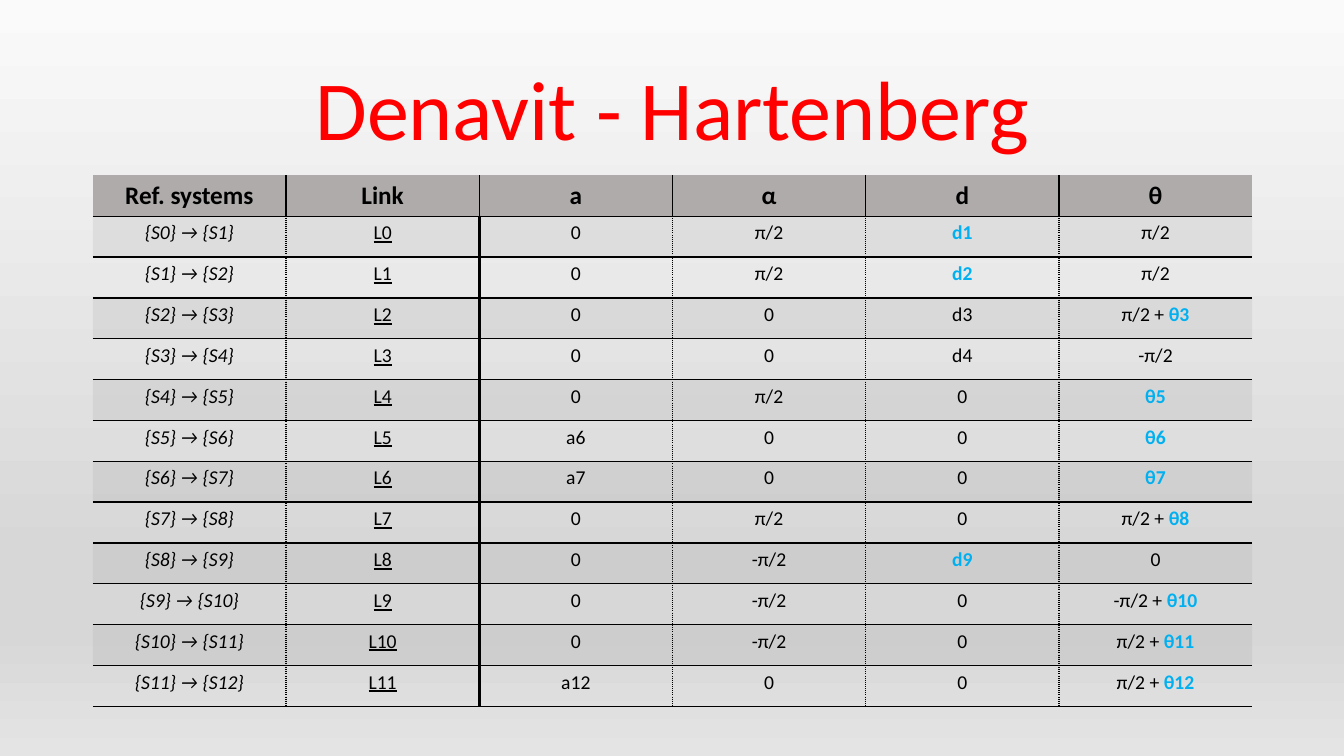
from typing import NamedTuple

from lxml.etree import SubElement
from pptx import Presentation
from pptx.dml.color import RGBColor
from pptx.enum.text import MSO_ANCHOR, PP_ALIGN
from pptx.oxml.ns import qn
from pptx.slide import Slide
from pptx.table import _Cell as Cell
from pptx.util import Emu, Pt

EMU_PER_PX = 9144
FONT = "Calibri"
COLORS = {
    "title": "FF0000",
    "text": "000000",
    "variable": "00B0F0",
    "header": "AFABAB",
    "band": "A5A5A5",
}
BACKGROUND_STOPS = ((0, "FAFAFA"), (74, "D7D7D7"), (83, "D7D7D7"), (100, "E4E4E4"))
HEADINGS = ("Ref. systems", "Link", "a", "α", "d", "θ")
VARIABLE_MARK = "*"  # what follows it in a cell is a joint variable


class Joint(NamedTuple):
    a: str
    alpha: str
    d: str
    theta: str


class Border(NamedTuple):
    width: float
    dash: str = "solid"


THIN, THICK, DOTTED = Border(1), Border(2.25), Border(1, "dot")

JOINTS = (
    Joint("0", "π/2", "*d1", "π/2"),
    Joint("0", "π/2", "*d2", "π/2"),
    Joint("0", "0", "d3", "π/2 + *θ3"),
    Joint("0", "0", "d4", "-π/2"),
    Joint("0", "π/2", "0", "*θ5"),
    Joint("a6", "0", "0", "*θ6"),
    Joint("a7", "0", "0", "*θ7"),
    Joint("0", "π/2", "0", "π/2 + *θ8"),
    Joint("0", "-π/2", "*d9", "0"),
    Joint("0", "-π/2", "0", "-π/2 + *θ10"),
    Joint("0", "-π/2", "0", "π/2 + *θ11"),
    Joint("a12", "0", "0", "π/2 + *θ12"),
)


def px(length: int) -> Emu:
    return Emu(length * EMU_PER_PX)


def rgb(name: str) -> RGBColor:
    return RGBColor.from_string(COLORS[name])


def paint_background(page: Slide) -> None:
    fill = page.background.fill
    fill.gradient()
    fill.gradient_angle = 270
    stops = page.background._cSld.find(".//" + qn("a:gsLst"))
    for stop in list(stops):
        stops.remove(stop)
    for percent, color in BACKGROUND_STOPS:
        stop = SubElement(stops, qn("a:gs"), pos=str(percent * 1000))
        SubElement(stop, qn("a:srgbClr"), val=color)


def add_title(page: Slide, text: str) -> None:
    box = page.shapes.add_textbox(px(92), px(40), px(1150), px(145))
    frame = box.text_frame
    frame.word_wrap = True
    frame.vertical_anchor = MSO_ANCHOR.MIDDLE
    frame.text = text
    para = frame.paragraphs[0]
    para.alignment = PP_ALIGN.CENTER
    para.line_spacing = 0.9
    font = para.runs[0].font
    font.name, font.size = FONT, Pt(60)
    font.color.rgb = rgb("title")


def vertical_border(row: int, edge: int) -> Border | None:
    """Border on the vertical grid line `edge`, counted from the left side."""
    if edge in (0, len(HEADINGS)):
        return None
    if row == 0:
        return THIN
    return THICK if edge == 2 else DOTTED


def set_borders(cell: Cell, row: int, column: int) -> None:
    borders = {
        "a:lnL": vertical_border(row, column),
        "a:lnR": vertical_border(row, column + 1),
        "a:lnT": THIN if row else None,
        "a:lnB": THIN,
    }
    properties = cell._tc.get_or_add_tcPr()
    for tag, border in borders.items():
        line = SubElement(properties, qn(tag))
        if border is None:
            SubElement(line, qn("a:noFill"))
            continue
        line.set("w", str(Pt(border.width)))
        solid = SubElement(line, qn("a:solidFill"))
        SubElement(solid, qn("a:srgbClr"), val=COLORS["text"])
        SubElement(line, qn("a:prstDash"), val=border.dash)


def fill_cell(cell: Cell, row: int) -> None:
    """Grey header, then a faint band on every other row."""
    if row and row % 2 == 0:
        cell.fill.background()
        return
    cell.fill.solid()
    cell.fill.fore_color.rgb = rgb("band" if row else "header")
    if row:
        color = cell._tc.tcPr.find(qn("a:solidFill") + "/" + qn("a:srgbClr"))
        SubElement(color, qn("a:alpha"), val="20000")


def write_cell(cell: Cell, text: str, row: int, column: int) -> None:
    para = cell.text_frame.paragraphs[0]
    para.alignment = PP_ALIGN.CENTER
    plain, _, variable = text.partition(VARIABLE_MARK)
    for part, color in ((plain, "text"), (variable, "variable")):
        if not part:
            continue
        span = para.add_run()
        span.text = part
        font = span.font
        font.name = FONT
        font.size = Pt(14 if row else 18)
        font.color.rgb = rgb(color)
        font.bold = row == 0 or color == "variable"
        font.italic = row > 0 and column == 0
        font.underline = row > 0 and column == 1


def add_parameter_table(page: Slide) -> None:
    rows = [HEADINGS] + [
        (f"{{S{index}}} → {{S{index + 1}}}", f"L{index}", *joint)
        for index, joint in enumerate(JOINTS)
    ]
    table = page.shapes.add_table(
        len(rows), len(HEADINGS), px(92), px(174), px(1150), px(527)
    ).table
    table.first_row = table.horz_banding = False
    for row, texts in enumerate(rows):
        for column, text in enumerate(texts):
            cell = table.cell(row, column)
            set_borders(cell, row, column)
            fill_cell(cell, row)
            write_cell(cell, text, row, column)


def main() -> None:
    deck = Presentation()
    deck.slide_width, deck.slide_height = px(1333), px(750)
    page = deck.slides.add_slide(deck.slide_layouts[6])
    paint_background(page)
    add_title(page, "Denavit - Hartenberg")
    add_parameter_table(page)
    deck.save("out.pptx")


if __name__ == "__main__":
    main()
